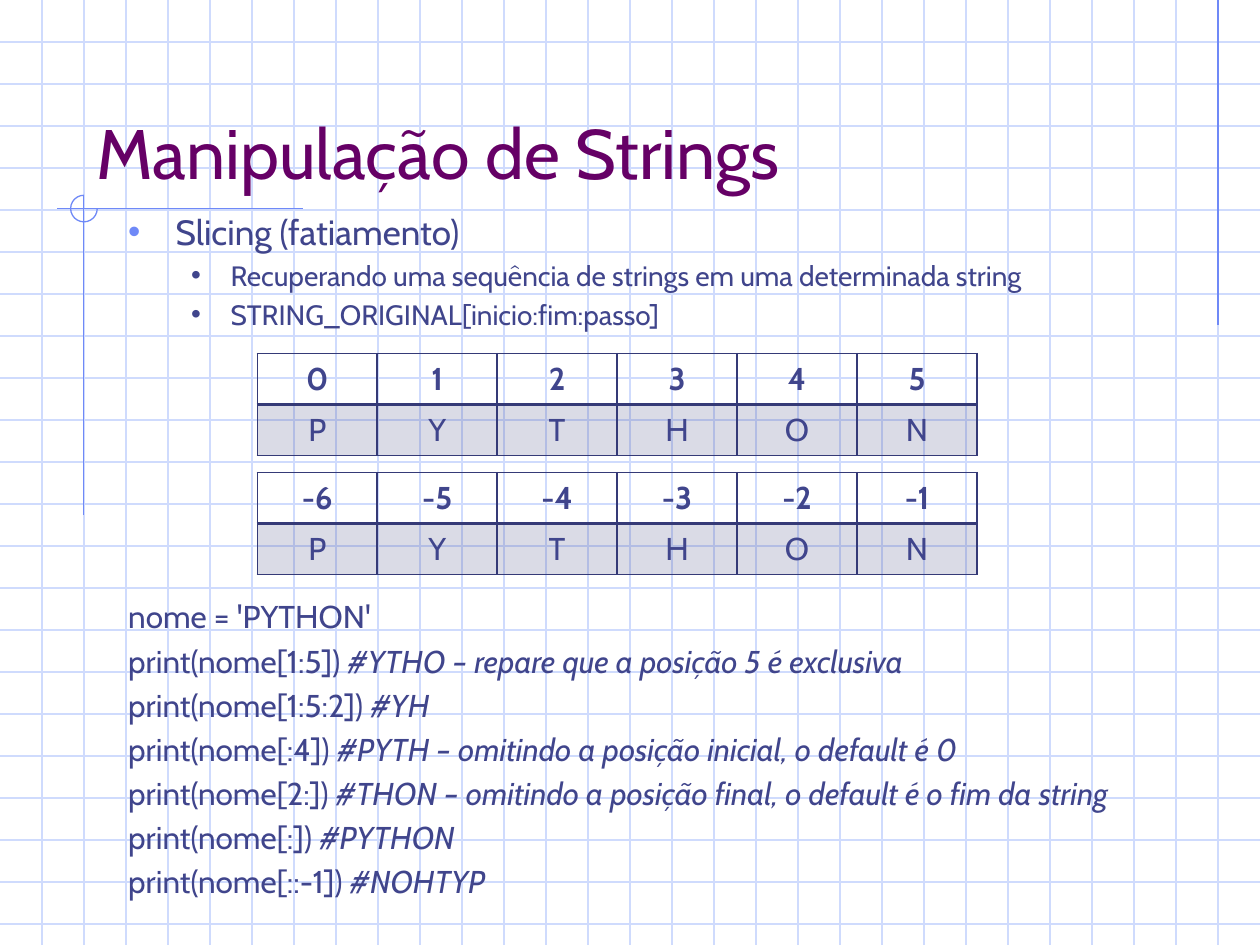
from lxml import etree
from pptx import Presentation
from pptx.dml.color import RGBColor
from pptx.enum import shapes, text
from pptx.oxml import ns
from pptx.util import Pt

GRID = RGBColor(0xCF, 0xDB, 0xFD)
ACCENT = RGBColor(0x6F, 0x89, 0xF7)
PURPLE = RGBColor(0x66, 0x00, 0x66)
INK = RGBColor(0x40, 0x45, 0x8C)
BORDER = RGBColor(0x35, 0x3A, 0x77)
FONT = "Cabin"
WIDTH, HEIGHT, STEP = 720, 540, 24

CODE = [
    ("nome = 'PYTHON'", ""),
    ("print(nome[1:5]) ", "#YTHO – repare que a posição 5 é exclusiva"),
    ("print(nome[1:5:2]) ", "#YH"),
    ("print(nome[:4]) ", "#PYTH – omitindo a posição inicial, o default é 0"),
    ("print(nome[2:]) ", "#THON – omitindo a posição final, o default é o fim da string"),
    ("print(nome[:]) ", "#PYTHON"),
    ("print(nome[::-1]) ", "#NOHTYP"),
]


def add_text(p, content, size=18, color=INK, bold=False, italic=False):
    r = p.add_run()
    r.text = content
    f = r.font
    f.name, f.size, f.bold, f.italic = FONT, Pt(size), bold, italic
    f.color.rgb = color


def add_sub(parent, tag, **attrs):
    return etree.SubElement(parent, ns.qn(tag), attrs)


def add_line(group, x1, y1, x2, y2, color):
    c = group.shapes.add_connector(
        shapes.MSO_CONNECTOR.STRAIGHT, Pt(x1), Pt(y1), Pt(x2), Pt(y2))
    c.line.color.rgb = color
    c.line.width = Pt(0.75)
    add_sub(c.element.spPr, "a:effectLst")


def add_grid(s):
    group = s.shapes.add_group_shape()
    for y in range(STEP, HEIGHT, STEP):
        add_line(group, 0, y, WIDTH, y, GRID)
    for x in range(STEP, WIDTH, STEP):
        add_line(group, x, 0, x, HEIGHT, GRID)


def add_ornaments(s):
    group = s.shapes.add_group_shape()
    add_line(group, 696, 0, 696, 185.5, ACCENT)
    add_line(group, 173, 119.3, 32.5, 119.3, ACCENT)
    add_line(group, 47.9, 111.6, 47.9, 294.5, ACCENT)
    arc = group.shapes.add_shape(
        shapes.MSO_SHAPE.ARC, Pt(40.4), Pt(111.6), Pt(15.2), Pt(15.2))
    arc.adjustments[0] = 0
    arc.adjustments[1] = 162  # 270 degrees, in units of 100000/60000 degree
    arc.shadow.inherit = False
    arc.fill.background()
    arc.line.color.rgb = ACCENT
    arc.line.width = Pt(0.75)


def format_title(s, content):
    sp = s.shapes.title
    sp.element.getparent().append(sp.element)  # in front of the grid
    sp.left, sp.top, sp.width, sp.height = Pt(48), Pt(24), Pt(646.6), Pt(90)
    tf = sp.text_frame
    tf.auto_size = text.MSO_AUTO_SIZE.NONE
    tf.vertical_anchor = text.MSO_ANCHOR.BOTTOM
    p = tf.paragraphs[0]
    p.alignment = text.PP_ALIGN.LEFT
    add_text(p, content, size=40, color=PURPLE)


def set_bullet(p, margin, indent, color):
    pPr = p._p.get_or_add_pPr()
    pPr.set("marL", str(Pt(margin)))
    pPr.set("indent", str(Pt(-indent)))
    add_sub(add_sub(pPr, "a:buClr"), "a:srgbClr", val=str(color))
    add_sub(pPr, "a:buFont", typeface="Arial")
    add_sub(pPr, "a:buChar", char="•")


def add_body(s):
    tf = s.shapes.add_textbox(Pt(66.2), Pt(116.9), Pt(646.6), Pt(324)).text_frame
    tf.word_wrap = True
    p = tf.paragraphs[0]
    set_bullet(p, 27, 27, ACCENT)
    add_text(p, "Slicing (fatiamento)", size=20)
    for content in ("Recuperando uma sequência de strings em uma determinada string",
                    "STRING_ORIGINAL[inicio:fim:passo]"):
        p = tf.add_paragraph()
        p.level = 1
        p.space_before = Pt(3.2)
        set_bullet(p, 58.5, 22.5, INK)
        add_text(p, content, size=16)
    for i, (code, comment) in enumerate(CODE):
        p = tf.add_paragraph()
        p.space_before = Pt(3.6 if i else 152.2)  # room for the tables
        add_text(p, code)
        if comment:
            add_text(p, comment, italic=True)


def set_borders(cell, **widths):
    """Widths are keyed by side, in the order L, R, T, B."""
    tcPr = cell._tc.get_or_add_tcPr()
    for i, (side, width) in enumerate(widths.items()):
        ln = etree.Element(ns.qn(f"a:ln{side}"), w=str(Pt(width)))
        add_sub(add_sub(ln, "a:solidFill"), "a:srgbClr", val=str(BORDER))
        tcPr.insert(i, ln)


def shade(cell):
    cell.fill.solid()
    cell.fill.fore_color.rgb = BORDER
    color = cell._tc.tcPr.find(".//" + ns.qn("a:srgbClr"))
    add_sub(color, "a:alpha", val="18000")


def add_index_table(s, top, indexes, word="PYTHON"):
    frame = s.shapes.add_table(
        2, len(word), Pt(147), Pt(top), Pt(236.2), Pt(236.2))
    table = frame.table
    table.first_row = table.horz_banding = False
    for col in table.columns:
        col.width = Pt(68.57)
    for i, values in enumerate((indexes, word)):
        table.rows[i].height = Pt(29.2)
        for j, value in enumerate(values):
            cell = table.cell(i, j)
            if i:
                shade(cell)
            else:
                cell.fill.background()
            set_borders(cell, L=1, R=1, T=2 if i else 1, B=1 if i else 2)
            p = cell.text_frame.paragraphs[0]
            p.alignment = text.PP_ALIGN.CENTER
            add_text(p, str(value), bold=i == 0)
    frame.width = frame.height = Pt(236.2)  # resizing columns and rows changes these


def main():
    prs = Presentation()
    prs.slide_width, prs.slide_height = Pt(WIDTH), Pt(HEIGHT)
    s = prs.slides.add_slide(prs.slide_layouts[5])
    add_grid(s)
    add_ornaments(s)
    format_title(s, "Manipulação de Strings")
    add_body(s)
    add_index_table(s, 202, range(6))
    add_index_table(s, 270, range(-6, 0))
    prs.save("out.pptx")


if __name__ == "__main__":
    main()
